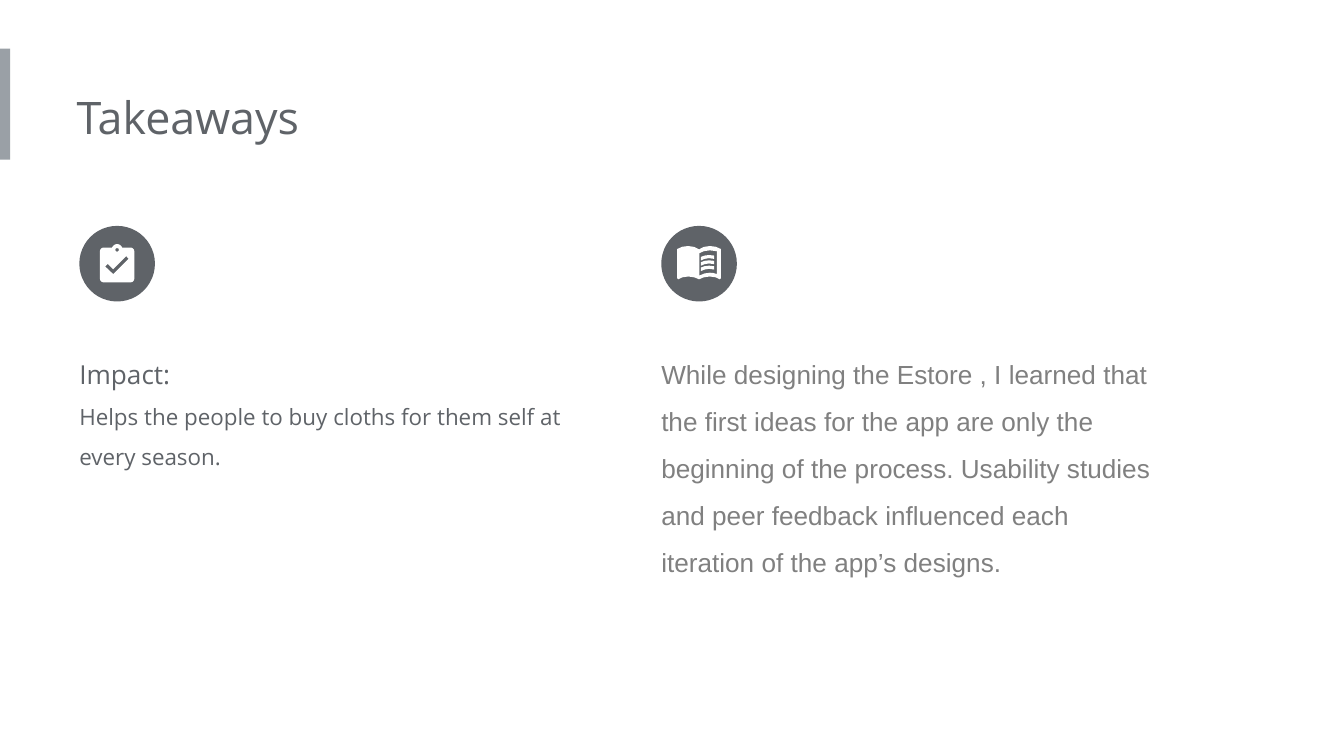
from math import cos, radians, sin

from pptx import Presentation
from pptx.dml.color import RGBColor
from pptx.enum.shapes import MSO_SHAPE
from pptx.enum.text import MSO_ANCHOR, MSO_AUTO_SIZE, PP_ALIGN
from pptx.oxml.ns import qn
from pptx.util import Pt

COLORS = {"accent": "9AA0A6", "dark": "5F6368", "grey": "808080", "white": "FFFFFF"}

TITLE = [("Takeaways", 24, "Open Sans", "dark")]
IMPACT = [
    ("Impact:", 14, "Open Sans", "dark"),
    ("Helps the people to buy cloths for them self at every season.", 12, "Open Sans", "dark"),
]
LEARNED = [
    (
        "While designing the Estore , I learned that the first ideas for the app are only "
        "the beginning of the process. Usability studies and peer feedback influenced each "
        "iteration of the app’s designs.",
        14, "Arial", "grey",
    ),
]
COLUMNS = [(42.5, IMPACT, 83.5), (354.25, LEARNED, 141.8)]

BADGE_TOP, BADGE_SIZE = 121, 40.5
BODY_TOP, BODY_WIDTH = 176.4, 271.4
LINE_PITCH = 2.85

CHECK_MARK = [(-2.1, 5.6), (-6.4, 1.5), (-5, 0.1), (-2.1, 3), (4.9, -4), (6.2, -2.6)]
RIGHT_PAGE = [
    (0, -7.6), (2.5, -8.9), (5.8, -9.4), (9, -9), (11.7, -7.8), (11.7, 7.9),
    (11, 8.4), (9, 7.4), (5.8, 6.9), (2.5, 7.4), (0, 8.4),
]
PAGE_WINDOW = [
    (0.2, -5.6), (2.5, -6.6), (5.8, -7.1), (9.5, -6.6), (9.5, 5.6),
    (7.5, 5), (5.8, 4.9), (3, 5.3), (0.2, 6.4),
]
TEXT_LINE = [
    (1, -3.6), (3, -4.3), (5.4, -4.6), (8.1, -4.3), (8.1, -2.5),
    (5.4, -2.9), (3, -2.5), (1, -1.7),
]


def arc(x, y, radius, start, end, steps=8):
    angles = [radians(start + (end - start) * i / steps) for i in range(steps + 1)]
    return [(x + radius * cos(a), y + radius * sin(a)) for a in angles]


def paint(shape, color):
    shape.fill.solid()
    shape.fill.fore_color.rgb = RGBColor.from_string(COLORS[color])
    shape.line.fill.background()
    shape.shadow.inherit = False


def add_block(shapes, kind, left, top, width, height, color):
    paint(shapes.add_shape(kind, Pt(left), Pt(top), Pt(width), Pt(height)), color)


def add_outline(shapes, center, contours):
    placed = [[(Pt(center[0] + x), Pt(center[1] + y)) for x, y in c] for c in contours]
    builder = shapes.build_freeform(*placed[0][0], scale=1)
    for index, contour in enumerate(placed):
        if index:
            builder.move_to(*contour[0])
        builder.add_line_segments(contour[1:], close=True)
    paint(builder.convert_to_shape(), "white")


def fill_text(placeholder, box, paragraphs, line_spacing):
    placeholder.left, placeholder.top, placeholder.width, placeholder.height = map(Pt, box)
    frame = placeholder.text_frame
    frame.word_wrap = True
    frame.auto_size = MSO_AUTO_SIZE.SHAPE_TO_FIT_TEXT
    frame.vertical_anchor = MSO_ANCHOR.TOP
    frame.margin_left = 0
    frame.margin_top = frame.margin_right = frame.margin_bottom = Pt(7.2)
    for index, (text, size, font, color) in enumerate(paragraphs):
        paragraph = frame.add_paragraph() if index else frame.paragraphs[0]
        paragraph.alignment = PP_ALIGN.LEFT
        paragraph.line_spacing = line_spacing
        paragraph.space_before = paragraph.space_after = Pt(0)
        properties = paragraph._p.get_or_add_pPr()
        properties.set("marL", "0")
        properties.set("indent", "0")
        properties.append(properties.makeelement(qn("a:buNone"), {}))
        run = paragraph.add_run()
        run.text = text
        run.font.size = Pt(size)
        run.font.name = font
        run.font.color.rgb = RGBColor.from_string(COLORS[color])


def add_clipboard(shapes, center):
    board = (
        arc(0, -7.6, 2.9, 200, 340)
        + arc(7.2, -6.6, 2, -90, 0)
        + arc(7.2, 8, 2, 0, 90)
        + arc(-7.2, 8, 2, 90, 180)
        + arc(-7.2, -6.6, 2, 180, 270)
    )
    add_outline(shapes, center, [board, arc(0, -7.4, 1, 360, 0), CHECK_MARK])


def add_book(shapes, center):
    book = shapes.add_group_shape().shapes
    left_page = [(-x, y) for x, y in reversed(RIGHT_PAGE)]
    add_outline(book, center, [RIGHT_PAGE + left_page, PAGE_WINDOW[::-1]])
    for row in range(3):
        line = [(x, y + row * LINE_PITCH) for x, y in TEXT_LINE]
        add_outline(book, center, [line])


def main():
    presentation = Presentation()
    presentation.slide_width, presentation.slide_height = Pt(720), Pt(405)
    slide = presentation.slides.add_slide(presentation.slide_layouts[3])
    shapes = slide.shapes
    title, *bodies = slide.placeholders

    add_block(shapes, MSO_SHAPE.RECTANGLE, 0, 26, 5.5, 59.5, "accent")
    fill_text(title, (41, 41, 388, 44), TITLE, 1)
    for body, icon, (left, paragraphs, height) in zip(bodies, (add_clipboard, add_book), COLUMNS):
        fill_text(body, (left, BODY_TOP, BODY_WIDTH, height), paragraphs, 1.5)
        add_block(shapes, MSO_SHAPE.OVAL, left, BADGE_TOP, BADGE_SIZE, BADGE_SIZE, "dark")
        icon(shapes, (left + BADGE_SIZE / 2, BADGE_TOP + BADGE_SIZE / 2))

    presentation.save("out.pptx")


if __name__ == "__main__":
    main()
